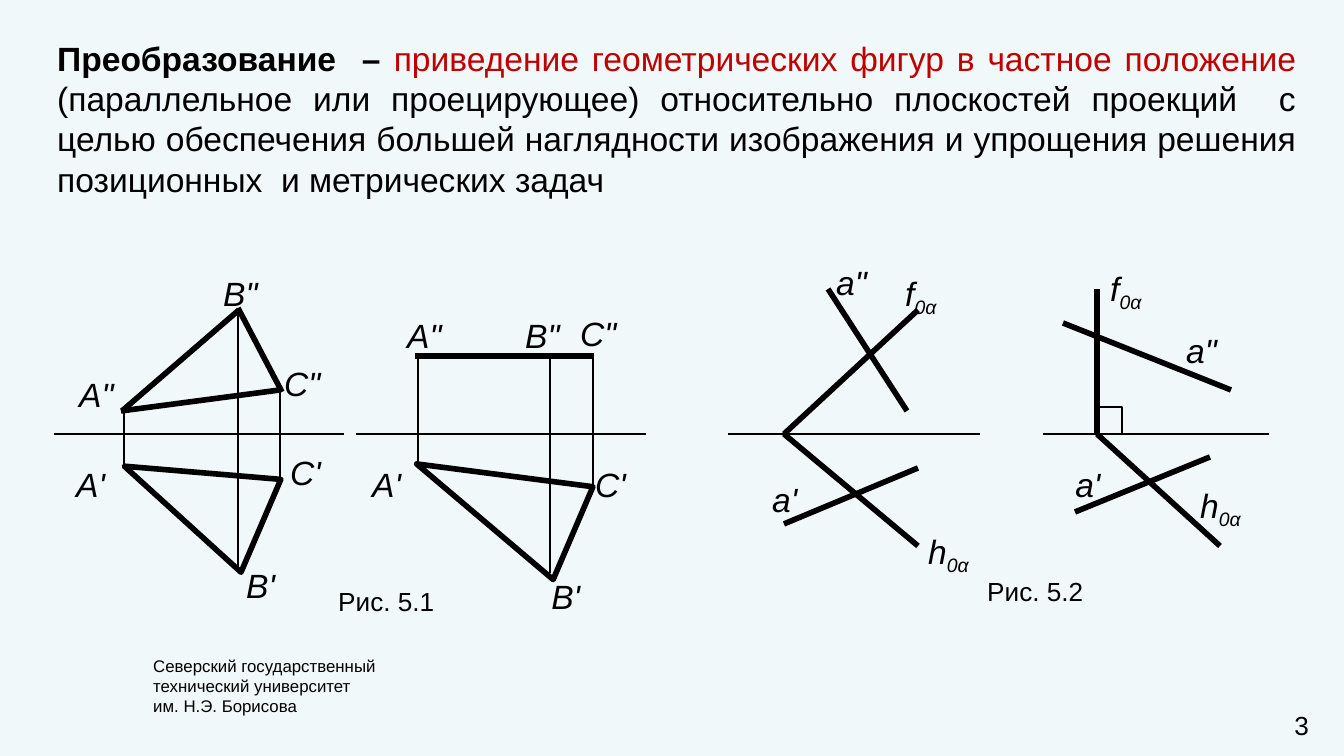
"""Build a slide on transforming geometric figures into a special position."""
import lxml.etree
import pptx
import pptx.dml.color
import pptx.enum.shapes
import pptx.enum.text
import pptx.oxml.ns
import pptx.util

BLACK = pptx.dml.color.RGBColor(0x00, 0x00, 0x00)
RED = pptx.dml.color.RGBColor(0xC0, 0x00, 0x00)
PALE = pptx.dml.color.RGBColor(0xF1, 0xF8, 0xF9)
SHAPE = pptx.enum.shapes.MSO_SHAPE
ALIGN = pptx.enum.text.PP_ALIGN
PX = 914400 / 134.4
THIN, AXIS, THICK = 0.75, 1.5, 3
AXIS_Y = 434
LABEL_H = 54


def px(*lengths):
    return [pptx.util.Emu(round(n * PX)) for n in lengths]


def add_run(p, text, size=18, color=BLACK, bold=False, italic=False, baseline=0):
    r = p.add_run()
    r.text = text
    font = r.font
    font.name = "Arial"
    font.size = pptx.util.Pt(size)
    font.bold, font.italic = bold, italic
    font.color.rgb = color
    if baseline:
        r._r.get_or_add_rPr().set("baseline", str(baseline * 1000))


class Drawing:
    def __init__(self, slide, color=BLACK):
        self.s = slide
        self.color = color

    def background(self, color):
        fill = self.s.background.fill
        fill.solid()
        fill.fore_color.rgb = color

    def stroke(self, sp, width):
        sp.line.color.rgb = self.color
        sp.line.width = pptx.util.Pt(width)

    def line(self, x1, y1, x2, y2, width):
        kind = pptx.enum.shapes.MSO_CONNECTOR.STRAIGHT
        sp = self.s.shapes.add_connector(kind, *px(x1, y1, x2, y2))
        self.stroke(sp, width)
        lxml.etree.SubElement(sp._element.spPr, pptx.oxml.ns.qn("a:effectLst"))

    def outline(self, kind, x, y, w, h, width, rotation=0, apex=None):
        sp = self.s.shapes.add_shape(kind, *px(x, y, w, h))
        sp.shadow.inherit = False
        sp.fill.background()
        self.stroke(sp, width)
        sp.rotation = rotation
        if apex is not None:
            sp.adjustments[0] = apex

    def text(self, x, y, w, h, paragraphs, align=ALIGN.LEFT, wrap=True, **style):
        tf = self.s.shapes.add_textbox(*px(x, y, w, h)).text_frame
        tf.word_wrap = wrap
        for i, runs in enumerate(paragraphs):
            p = tf.add_paragraph() if i else tf.paragraphs[0]
            p.alignment = align
            for text, extra in runs:
                add_run(p, text, **{**style, **extra})

    def label(self, name, x, y, w, sub=""):
        runs = [(name, {})]
        if sub:
            runs.append((sub, {"baseline": -25}))
        self.text(x, y, w, LABEL_H, [runs], italic=True)


def draw_text(d):
    footer = ["Северский государственный", "технический университет", "им. Н.Э. Борисова"]
    d.text(140, 649, 266, 75, [[(line, {})] for line in footer], size=9)
    d.text(44, 31, 1266, 176, [[
        ("Преобразование  – ", {"bold": True}),
        ("приведение геометрических фигур в частное положение ", {"color": RED}),
        ("(параллельное или проецирующее) относительно плоскостей проекций  с целью "
         "обеспечения большей наглядности изображения и упрощения решения "
         "позиционных  и метрических задач", {}),
    ]], align=ALIGN.JUSTIFY)
    d.text(762, 703, 560, 52, [[("3", {})]], align=ALIGN.RIGHT, size=14)
    for caption, x, y in [("Рис. 5.1", 325, 579), ("Рис. 5.2", 974, 569)]:
        d.text(x, y, 124, 46, [[(caption, {})]], wrap=False, size=14)


def draw_figures(d):
    for x, y, h, apex in [(142, 422, 149, 0.51), (444, 414, 171, 0.52)]:
        d.outline(SHAPE.ISOSCELES_TRIANGLE, x, y, 101, h, THICK, 293.2, apex)
    for x1, x2 in [(54, 344), (356, 646), (728, 980), (1043, 1269)]:
        d.line(x1, AXIS_Y, x2, AXIS_Y, AXIS)
    for x, bottom, top in [
        (418, 466, 356), (550, 573, 356), (593, 488, 356),
        (124, 465, 411), (238, 570, 310), (280, 480, 390),
    ]:
        d.line(x, bottom, x, top, THIN)
    for ends in [
        (415, 356, 594, 356),
        (282, 392, 238, 308), (280, 390, 121, 411), (239, 310, 122, 411),
        (918, 310, 784, AXIS_Y), (784, AXIS_Y, 918, 546),
        (828, 289, 907, 411), (784, 524, 918, 468),
        (1097, 289, 1097, AXIS_Y), (1097, AXIS_Y, 1220, 546),
        (1063, 323, 1231, 390), (1075, 512, 1210, 457),
    ]:
        d.line(*ends, THICK)
    d.outline(SHAPE.RECTANGLE, 1095, 407, 27, 27, THIN)


def draw_labels(d):
    for name, x, y in [
        ("A'", 63, 457), ("B'", 233, 558), ("C'", 277, 445),
        ("A'", 359, 457), ("B'", 538, 569), ("C'", 582, 457),
        ("а'", 759, 472), ("а'", 1062, 457),
    ]:
        d.label(name, x, y, 63)
    for name, x, y in [
        ('B"', 210, 266), ('B"', 512, 308), ('A"', 394, 308), ('C"', 567, 306),
        ('C"', 271, 356), ('A"', 66, 367), ('а"', 823, 255), ('а"', 1173, 323),
    ]:
        d.label(name, x, y, 71)
    for name, x, y, w in [
        ("h", 915, 524, 74), ("h", 1187, 478, 74),
        ("f", 892, 266, 92), ("f", 1097, 261, 92),
    ]:
        d.label(name, x, y, w, sub="0α")


def main():
    prs = pptx.Presentation()
    prs.slide_width, prs.slide_height = px(1344, 756)
    d = Drawing(prs.slides.add_slide(prs.slide_layouts[6]))
    d.background(PALE)
    draw_text(d)
    draw_figures(d)
    draw_labels(d)
    prs.save("out.pptx")


if __name__ == "__main__":
    main()
